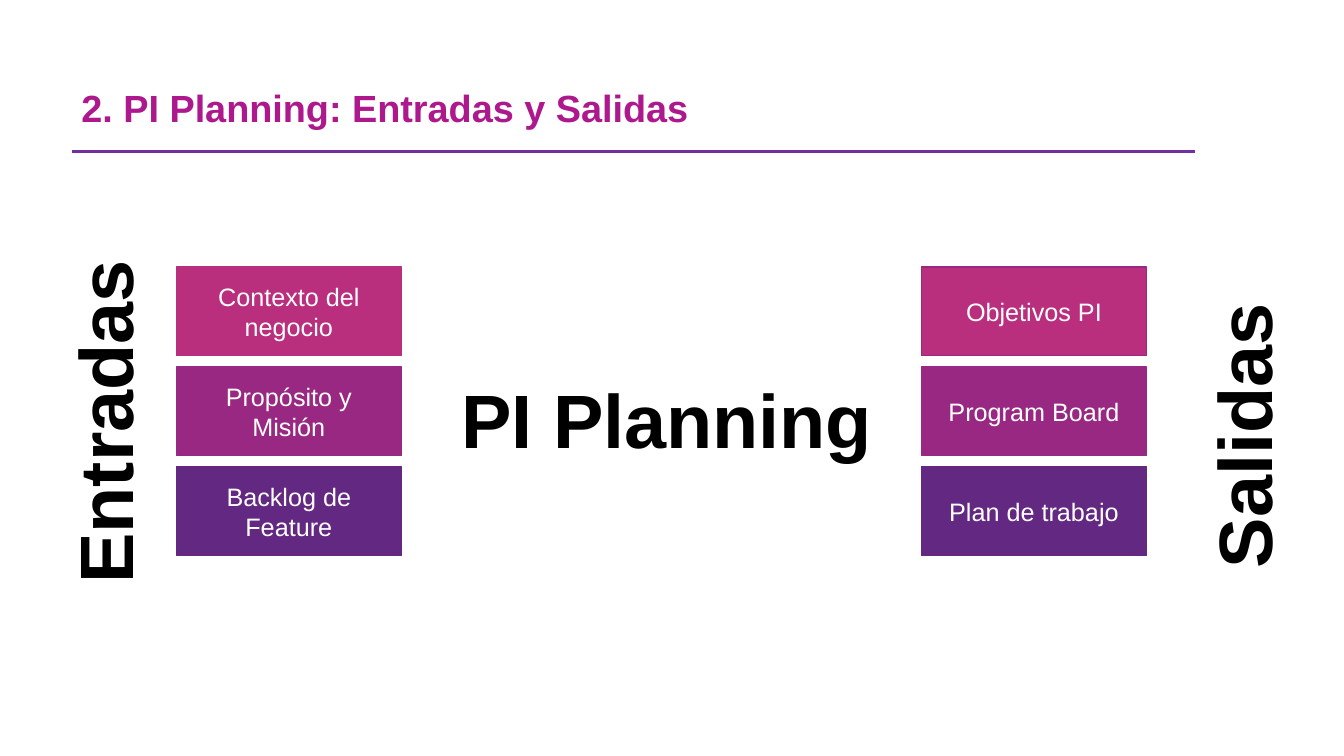
"""Build the slide on the inputs and outputs of PI Planning."""
from lxml import etree
from pptx import Presentation
from pptx.dml.color import RGBColor
from pptx.enum.shapes import MSO_CONNECTOR, MSO_SHAPE
from pptx.enum.text import MSO_ANCHOR, PP_ALIGN
from pptx.oxml.ns import qn
from pptx.util import Inches, Pt

RECT, LINE = MSO_SHAPE.RECTANGLE, MSO_CONNECTOR.STRAIGHT
LEFT, MID = PP_ALIGN.LEFT, PP_ALIGN.CENTER
TOP, CENTER = MSO_ANCHOR.TOP, MSO_ANCHOR.MIDDLE
BLACK, WHITE = RGBColor(0, 0, 0), RGBColor(255, 255, 255)
PINK, PLUM = RGBColor(0xBA, 0x2F, 0x7D), RGBColor(0x98, 0x28, 0x81)
GRAPE, ROSE = RGBColor(0x63, 0x28, 0x81), RGBColor(0xAD, 0x19, 0x8D)
RULE = RGBColor(0x70, 0x30, 0xA0)

SMALL = {"size": Pt(18), "name": "Arial", "bold": False}
LARGE = {"size": Pt(54), "name": "Arial", "bold": True}
HEAD = {"size": Pt(27), "name": "Arial", "bold": True}

ROW, STEP, WIDE, HIGH = 2.65, 0.99, 2.23, 0.88
COLS = [
    (1.75, ["Contexto del negocio", "Propósito y Misión", "Backlog de Feature"],
     [PINK, PLUM, GRAPE]),
    (9.14, ["Objetivos PI", "Program Board", "Plan de trabajo"],
     [PLUM, PLUM, GRAPE]),
]
FILLS = [PINK, PLUM, GRAPE]
LABELS = [
    ("PI Planning", (4.45, 3.65, 4.33, 1.01), 0),
    ("Entradas", (-0.69, 3.68, 3.44, 1.01), 270),
    ("Salidas", (10.9, 3.82, 2.85, 1.01), 270),
]


def write(shape, text, style, color, align, anchor, wrap=True):
    """Put one styled paragraph into a shape."""
    frame = shape.text_frame
    frame.word_wrap, frame.vertical_anchor = wrap, anchor
    para = frame.paragraphs[0]
    para.alignment = align
    run = para.add_run()
    run.text = text
    for key, value in style.items():
        setattr(run.font, key, value)
    run.font.color.rgb = color
    return para


deck = Presentation()
deck.slide_width, deck.slide_height = Inches(13.33), Inches(7.5)
slide = deck.slides.add_slide(deck.slide_layouts[6])
shapes = slide.shapes

title = shapes.add_textbox(*map(Inches, (0.71, 0.79, 10.33, 0.61)))
para = write(title, "2. PI Planning: Entradas y Salidas", HEAD, ROSE, LEFT, CENTER)
para.line_spacing = 0.9

rule = shapes.add_connector(LINE, *map(Inches, (0.71, 1.5, 11.85, 1.5)))
rule.line.color.rgb, rule.line.width = RULE, Pt(2.25)
etree.SubElement(rule._element.spPr, qn("a:effectLst"))

for left, names, edges in COLS:
    for row, (name, fill, edge) in enumerate(zip(names, FILLS, edges)):
        place = map(Inches, (left, ROW + row * STEP, WIDE, HIGH))
        box = shapes.add_shape(RECT, *place)
        box.shadow.inherit = False
        box.fill.solid()
        box.fill.fore_color.rgb = fill
        box.line.color.rgb, box.line.width = edge, Pt(1)
        write(box, name, SMALL, WHITE, MID, CENTER)

for name, place, turn in LABELS:
    label = shapes.add_textbox(*map(Inches, place))
    label.rotation = turn
    write(label, name, LARGE, BLACK, MID, TOP, False)

deck.save("out.pptx")
